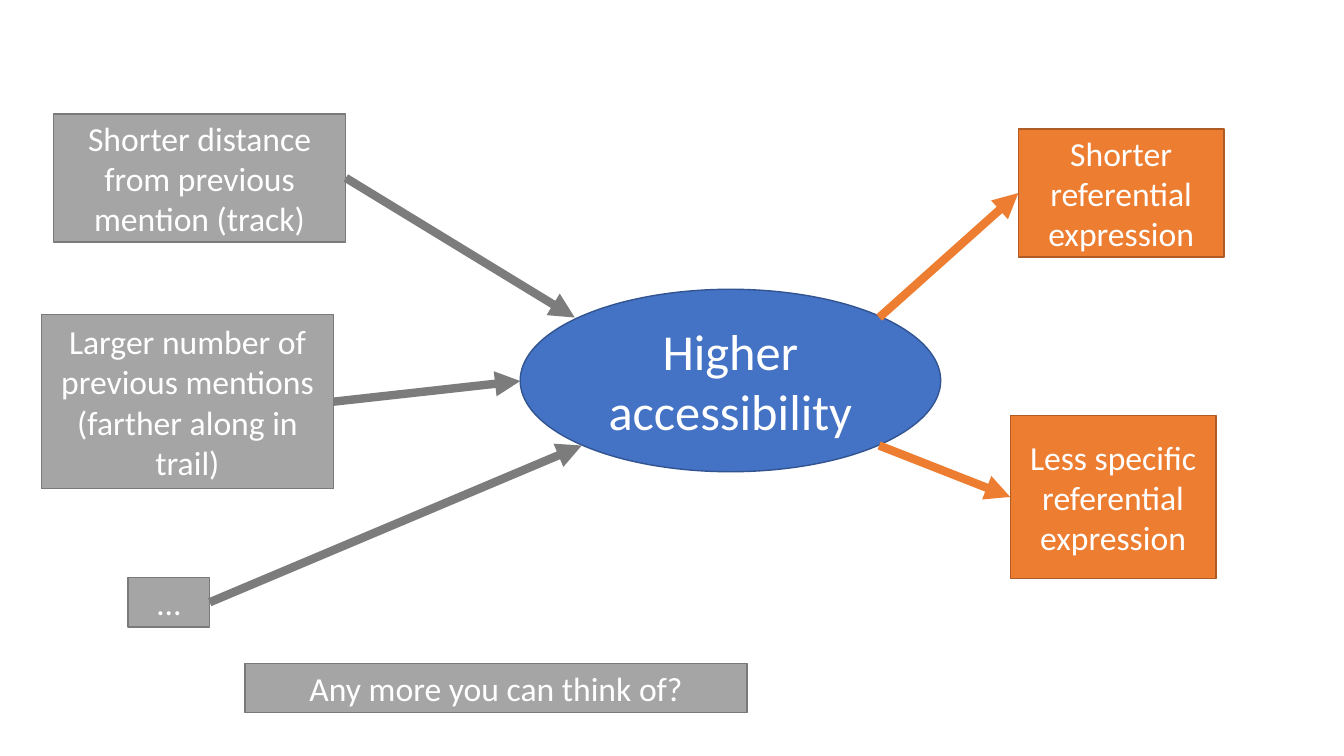
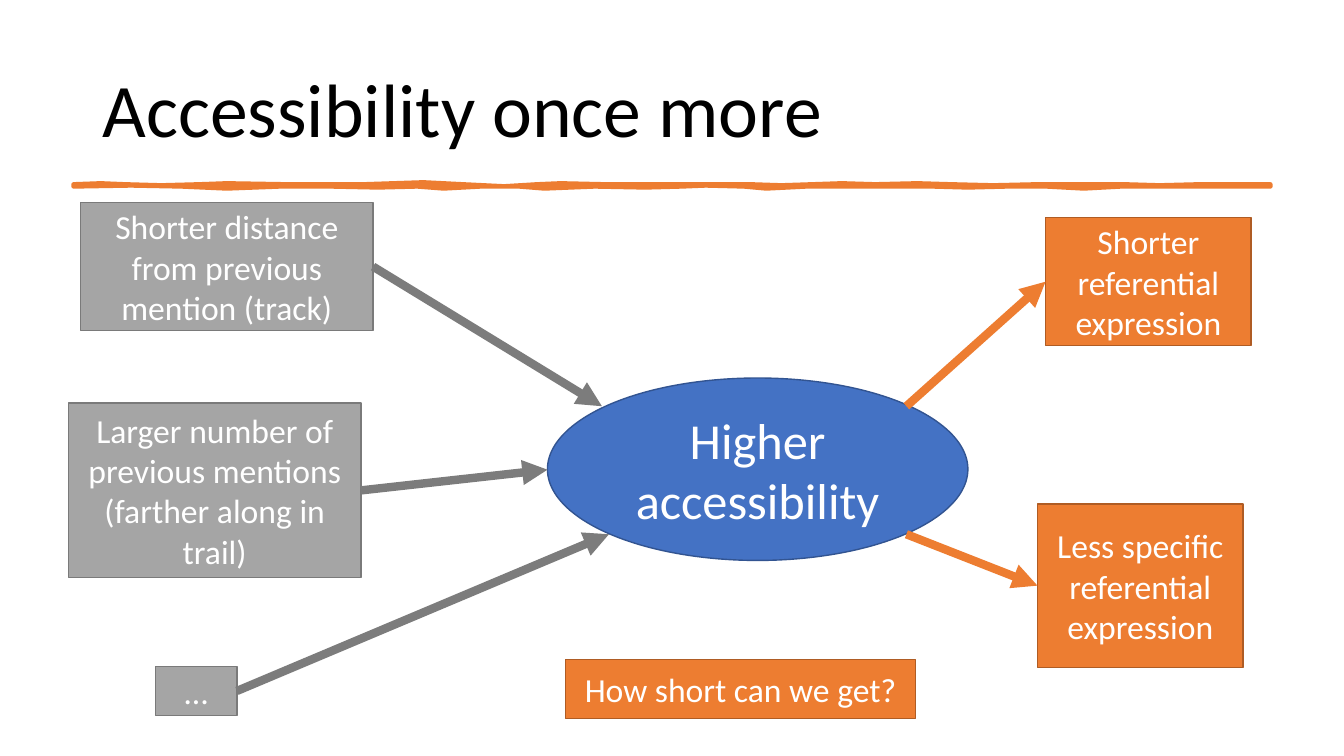
import pptx
import pptx.util
import pptx.dml.color
import pptx.enum.shapes
import pptx.enum.text
import pptx.oxml.ns
import lxml.etree

PX = 9144
RGB = pptx.dml.color.RGBColor
KIND = pptx.enum.shapes.MSO_SHAPE
ALIGN = pptx.enum.text.PP_ALIGN
MIDDLE = pptx.enum.text.MSO_ANCHOR.MIDDLE

FONT = "Calibri"
WHITE = RGB(0xFF, 0xFF, 0xFF)
BLACK = RGB(0, 0, 0)
BLUE = RGB(0x44, 0x72, 0xC4)
NAVY = RGB(0x32, 0x54, 0x91)
GREY = RGB(0xA5, 0xA5, 0xA5)
EDGE = RGB(0x7A, 0x7A, 0x7A)
SLATE = RGB(0x7C, 0x7C, 0x7C)
ORANGE = RGB(0xED, 0x7D, 0x31)
RUST = RGB(0xAF, 0x5C, 0x24)

CAUSES = [
    ("Shorter distance from previous mention (track)", (53, 113, 290, 127), (570, 315)),
    ("Larger number of previous mentions (farther along in trail)", (41, 312, 290, 173), (516, 378)),
    ("…", (127, 573, 81, 49), (577, 442)),
]
EFFECTS = [
    ("Shorter referential expression", (1010, 128, 204, 127), (872, 315)),
    ("Less specific referential expression", (1002, 412, 204, 162), (872, 442)),
]
UPPER = [
    (73, 183), (100, 182), (124, 183), (160, 184), (198, 183), (225, 182),
    (284, 183), (361, 183), (420, 181), (459, 183), (500, 185), (533, 183),
    (556, 182), (600, 183), (646, 183), (700, 183), (744, 183), (775, 184),
    (806, 183), (835, 182), (868, 183), (910, 182), (943, 183), (985, 184),
    (1029, 183), (1115, 183), (1150, 184), (1190, 183), (1260, 183),
]
LOWER = [
    (1260, 185), (1210, 185), (1160, 185), (1112, 185), (1075, 187),
    (1038, 185), (999, 185), (960, 186), (925, 185), (863, 185), (800, 185),
    (760, 187), (738, 185), (700, 184), (676, 185), (640, 186), (590, 185),
    (540, 187), (515, 185), (477, 185), (440, 187), (414, 185), (375, 186),
    (328, 185), (278, 185), (225, 187), (180, 185), (130, 184), (73, 185),
]


def px(*nums):
    return [pptx.util.Emu(n * PX) for n in nums]


def write(shape, text, size=24, color=WHITE, align=ALIGN.CENTER, space=None):
    frame = shape.text_frame
    frame.word_wrap = True
    frame.vertical_anchor = MIDDLE
    para = frame.paragraphs[0]
    para.alignment = align
    para.line_spacing = space
    run = para.add_run()
    run.text = text
    run.font.name = FONT
    run.font.size = pptx.util.Pt(size)
    run.font.color.rgb = color


def paint(shape, fill, line, width):
    shape.shadow.inherit = False
    shape.fill.solid()
    shape.fill.fore_color.rgb = fill
    shape.line.color.rgb = line
    shape.line.width = pptx.util.Pt(width)


def node(slide, text, rect, fill, line, kind=KIND.RECTANGLE, size=24):
    shape = slide.shapes.add_shape(kind, *px(*rect))
    paint(shape, fill, line, 1)
    write(shape, text, size=size)
    return shape


def arrow(slide, start, end, color):
    link = slide.shapes.add_connector(
        pptx.enum.shapes.MSO_CONNECTOR.STRAIGHT, *px(*start, *end))
    link.line.color.rgb = color
    link.line.width = pptx.util.Pt(6)
    qn = pptx.oxml.ns.qn
    lxml.etree.SubElement(link.line._get_or_add_ln(), qn("a:tailEnd"), type="triangle")
    lxml.etree.SubElement(link._element.spPr, qn("a:effectLst"))
    return link


def title(slide, text):
    box = slide.shapes.add_textbox(*px(92, 40, 1150, 145))
    write(box, text, size=54, color=BLACK, align=ALIGN.LEFT, space=0.9)


def stroke(slide):
    start, *rest = [px(*spot) for spot in UPPER + LOWER]
    pen = slide.shapes.build_freeform(*start)
    pen.add_line_segments(rest, close=True)
    paint(pen.convert_to_shape(), ORANGE, ORANGE, 3.25)


def diagram(slide, dx=0, dy=0):
    def move(x, y, *size):
        return (x + dx, y + dy, *size)

    node(slide, "Higher accessibility", move(516, 287, 417, 181),
         BLUE, NAVY, kind=KIND.OVAL, size=36)
    for text, rect, tip in CAUSES:
        box = node(slide, text, move(*rect), GREY, EDGE)
        spot = move(*tip)
        arrow(slide, spot, spot, SLATE).begin_connect(box, 3)
    for text, rect, root in EFFECTS:
        box = node(slide, text, move(*rect), ORANGE, RUST)
        spot = move(*root)
        arrow(slide, spot, spot, ORANGE).end_connect(box, 1)


def main():
    deck = pptx.Presentation()
    deck.slide_width, deck.slide_height = px(1333, 750)
    blank = deck.slide_layouts[6]

    first = deck.slides.add_slide(blank)
    diagram(first)
    node(first, "Any more you can think of?", (243, 658, 498, 49), GREY, EDGE)

    second = deck.slides.add_slide(blank)
    title(second, "Accessibility once more")
    stroke(second)
    diagram(second, dx=27, dy=88)
    node(second, "How short can we get?", (561, 654, 347, 59), ORANGE, RUST)

    deck.save("out.pptx")


if __name__ == "__main__":
    main()
